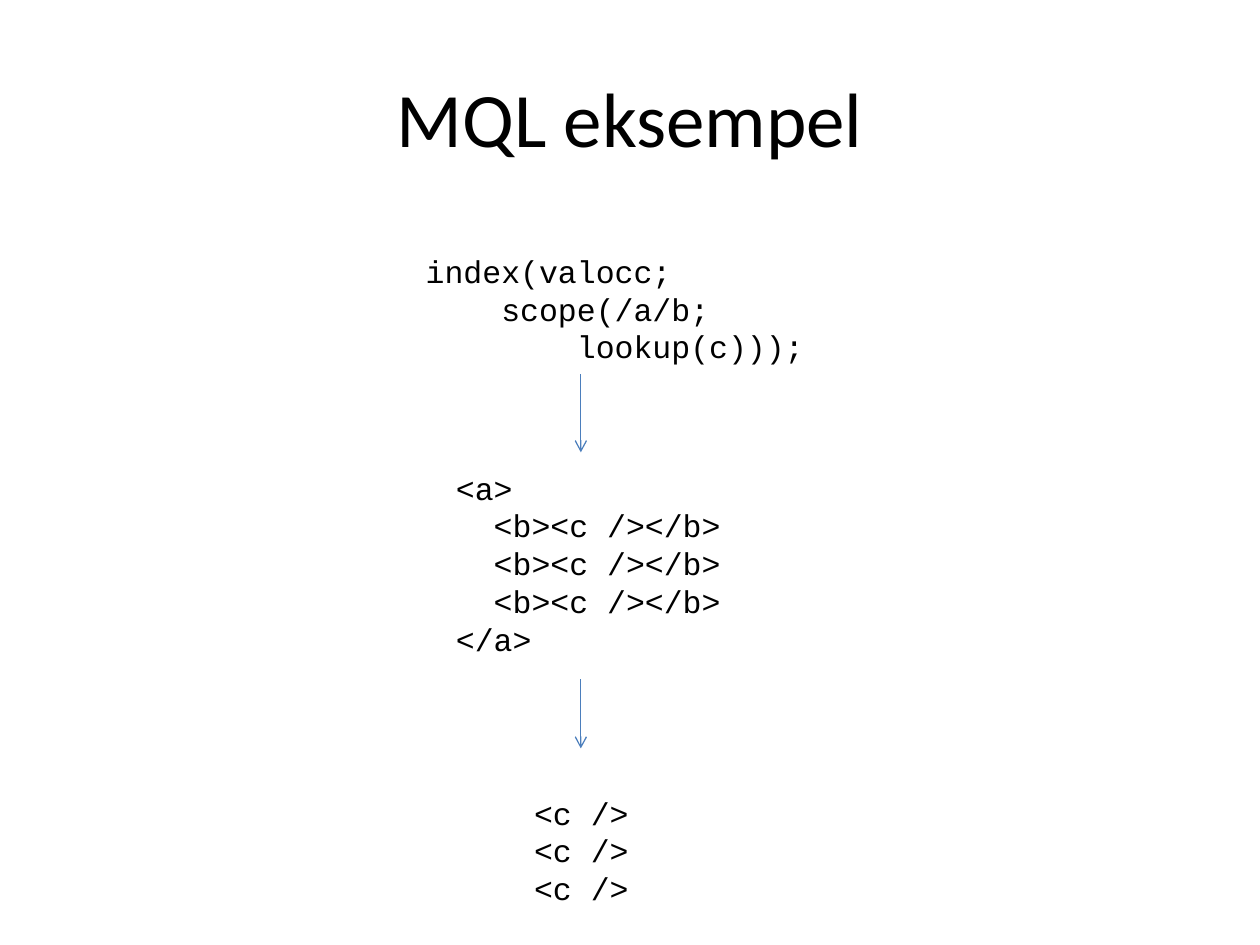
import pptx
import pptx.util
import pptx.dml.color
import pptx.enum.shapes
import pptx.enum.text
from lxml import etree

Inch, Pt = pptx.util.Inches, pptx.util.Pt
RGB = pptx.dml.color.RGBColor
BLACK = RGB(0x00, 0x00, 0x00)
BLUE = RGB(0x4B, 0x7E, 0xBC)

# Content: each code line is (indent in characters, text)
TITLE = "MQL eksempel"
QUERY = [(0, "index(valocc;"), (4, "scope(/a/b;"), (8, "lookup(c)));")]
TREE = [(0, "<a>")] + [(2, "<b><c /></b>")] * 3 + [(0, "</a>")]
HITS = [(0, "<c />")] * 3

# Places: left, top, width of each code block; top and bottom of each arrow
BLOCKS = [(QUERY, 3.28, 1.95, 3.28),
          (TREE, 3.52, 3.67, 3.52),
          (HITS, 4.14, 6.25, 1.02)]
ARROWS = [(2.97, 3.59), (5.39, 5.94)]
MID = 4.61
CHAR, ROW, PAD = 0.15, 0.3, 0.1

TITLE_FONT = {"name": "Calibri", "size": Pt(44)}
CODE_FONT = {"name": "Courier New", "size": Pt(18)}

deck = pptx.Presentation()
deck.slide_width, deck.slide_height = Inch(10), Inch(7.5)
slide = deck.slides.add_slide(deck.slide_layouts[5])


def style(font, look):
    for key, val in look.items():
        setattr(font, key, val)
    font.color.rgb = BLACK


def add_code(lines, left, top, width):
    high = len(lines) * ROW + PAD
    box = slide.shapes.add_textbox(*map(Inch, (left, top, width, high)))
    frame = box.text_frame
    frame.word_wrap = True
    frame.text = "\n".join(text for _, text in lines)
    for para, (dent, _) in zip(frame.paragraphs, lines):
        props = para._p.get_or_add_pPr()
        props.set("marL", str(Inch(dent * CHAR)))
        props.set("indent", "0")
        style(para.runs[0].font, CODE_FONT)


def add_arrow(top, end):
    kind = pptx.enum.shapes.MSO_CONNECTOR.STRAIGHT
    arrow = slide.shapes.add_connector(kind, *map(Inch, (MID, top, MID, end)))
    arrow.line.color.rgb = BLUE
    arrow.line.width = Pt(0.75)
    line = arrow.line._get_or_add_ln()
    space = "{" + line.nsmap["a"] + "}"
    etree.SubElement(line, space + "tailEnd", type="arrow")
    etree.SubElement(line.getparent(), space + "effectLst")


# Title
head = slide.shapes.title
for key, val in zip(("left", "top", "width", "height"), (0.5, 0.3, 9, 1.25)):
    setattr(head, key, Inch(val))
head.text_frame.text = TITLE
head.text_frame.vertical_anchor = pptx.enum.text.MSO_ANCHOR.MIDDLE
para = head.text_frame.paragraphs[0]
para.alignment = pptx.enum.text.PP_ALIGN.CENTER
style(para.runs[0].font, TITLE_FONT)

# Code blocks and the arrows between them
for block in BLOCKS:
    add_code(*block)
for ends in ARROWS:
    add_arrow(*ends)

deck.save("out.pptx")
